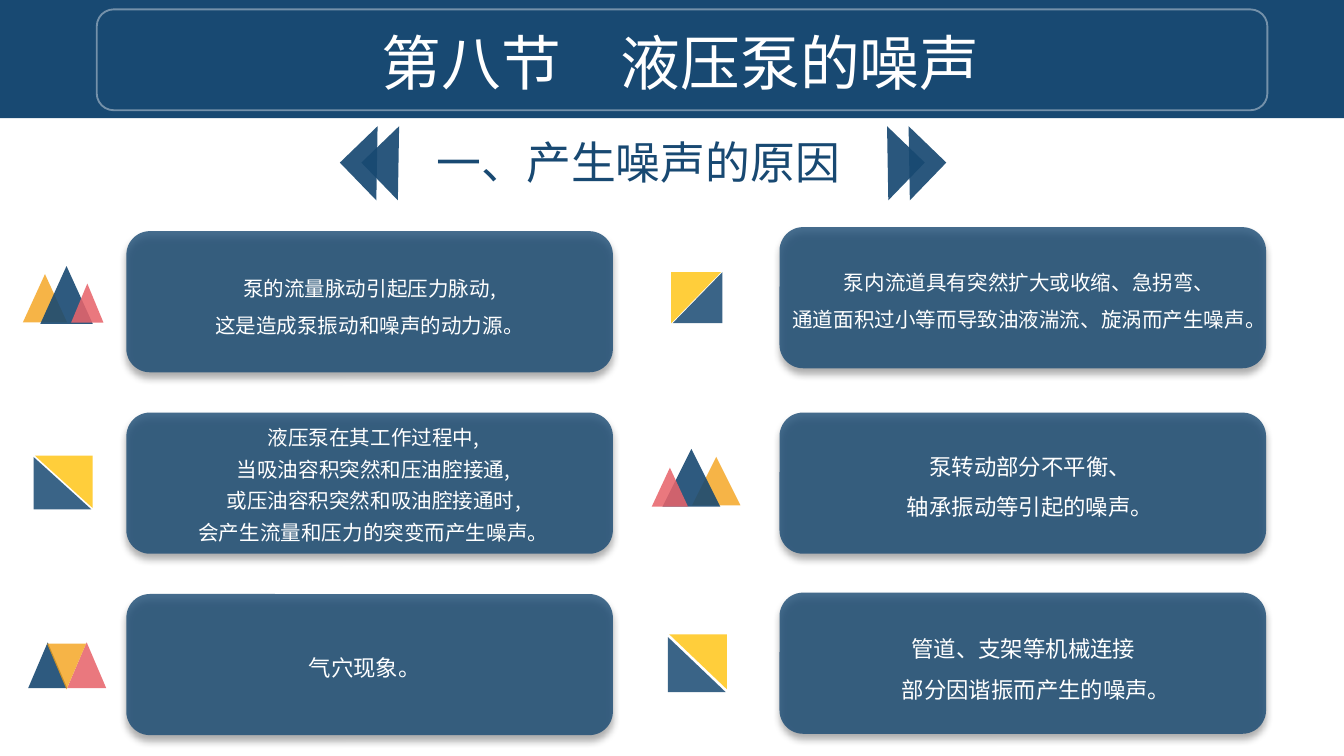
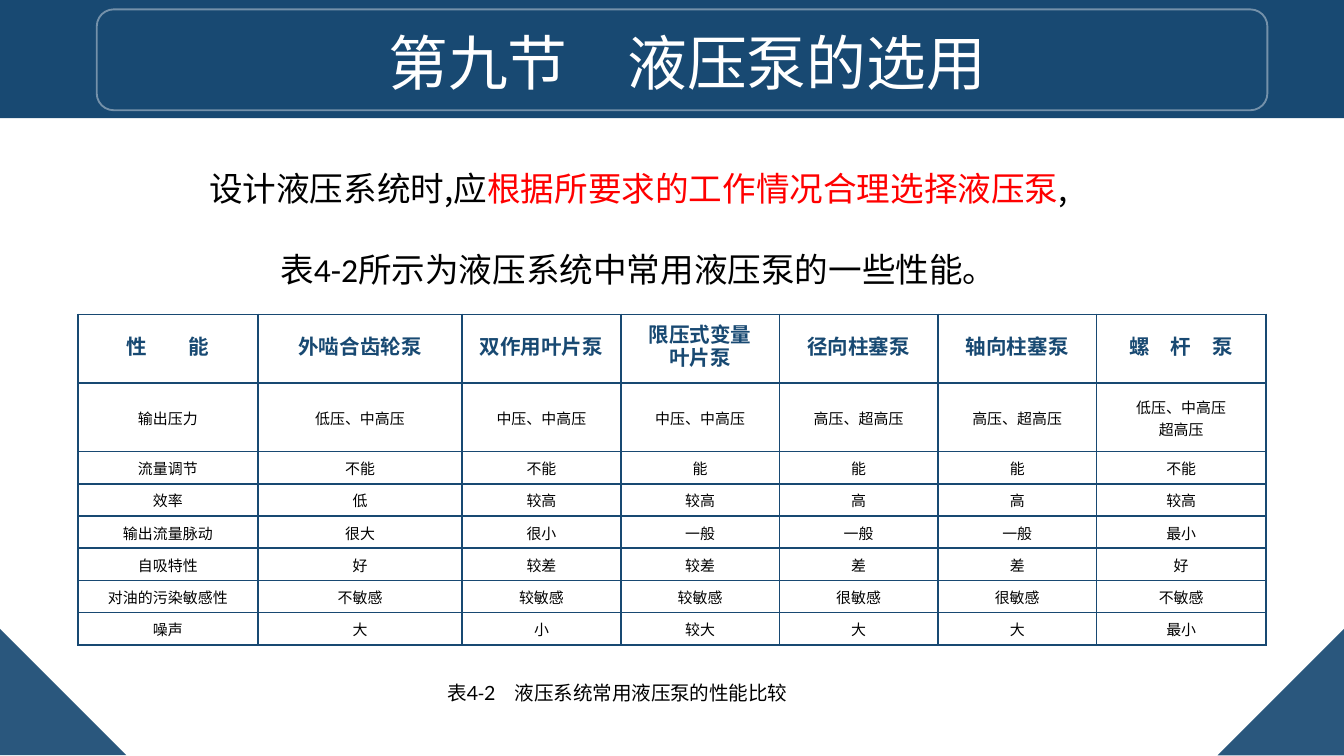
import lxml.etree
import pptx
import pptx.dml.color
import pptx.enum.shapes
import pptx.enum.text
import pptx.oxml.ns
import pptx.util

Inches = pptx.util.Inches
Pt = pptx.util.Pt
MSO = pptx.enum.shapes.MSO_SHAPE
CENTER = pptx.enum.text.PP_ALIGN.CENTER
LEFT = pptx.enum.text.PP_ALIGN.LEFT
qn = pptx.oxml.ns.qn

NAVY, WHITE, BLACK, RED = "184972", "FFFFFF", "000000", "FF0000"
ORANGE, YELLOW, PINK = "F49F14", "FFC000", "E8646B"
CJK = "Noto Sans CJK SC"
COMMA = (",", {"name": CJK})


def rgb(color):
    return pptx.dml.color.RGBColor.from_string(color)


def sub(parent, tag, **attrs):
    """Append a drawing element such as a:alpha to parent."""
    el = lxml.etree.SubElement(parent, qn(tag))
    for key, value in attrs.items():
        el.set(key, str(value))
    return el


def set_alpha(el, percent):
    sub(el.find(".//" + qn("a:srgbClr")), "a:alpha", val=percent * 1000)


def box(at):
    return [Inches(v) for v in at]


class Deck:
    def __init__(self):
        self.prs = pptx.Presentation()
        self.prs.slide_width = Inches(10)
        self.prs.slide_height = Inches(10) * 9 // 16
        self.s = None

    def new_slide(self, title, left):
        self.s = self.prs.slides.add_slide(self.prs.slide_layouts[6])
        self.shape(MSO.RECTANGLE, (0, 0, 10, 0.88), NAVY)
        self.frame((0.72, 0.07, 8.71, 0.75))
        self.text((left, 0.14, 8.35, 0.64), [[title]], size=32,
                  name="Times New Roman")

    def shape(self, kind, at, color=None, alpha=100, rot=0, flip="",
              adj=None, parent=None):
        sp = (parent or self.s).shapes.add_shape(kind, *box(at))
        sp.shadow.inherit = False
        sp.line.fill.background()
        sp.rotation = rot
        if color:
            sp.fill.solid()
            sp.fill.fore_color.rgb = rgb(color)
            if alpha < 100:
                set_alpha(sp._element.spPr, alpha)
        else:
            sp.fill.background()
        for axis in flip:
            sp._element.spPr.xfrm.set("flip" + axis, "1")
        if adj is not None:
            sp.adjustments[0] = adj
        return sp

    def frame(self, at):
        sp = self.shape(MSO.ROUNDED_RECTANGLE, at)
        sp.line.color.rgb = rgb(WHITE)
        sp.line.width = Pt(1)
        set_alpha(sp._element.spPr.find(qn("a:ln")), 40)

    def card(self, left, top):
        sp = self.shape(MSO.ROUNDED_RECTANGLE, (left, top, 3.62, 1.05), NAVY, 80)
        effects = sp._element.spPr.find(qn("a:effectLst"))
        shadow = sub(effects, "a:outerShdw", blurRad=Pt(4), dist=Pt(3),
                     dir=90 * 60000, algn="t", rotWithShape=0)
        sub(shadow, "a:srgbClr", val=BLACK)
        set_alpha(shadow, 40)

    def icon(self, triangles):
        group = self.s.shapes.add_group_shape()
        for at, color, alpha, extra in triangles:
            self.shape(MSO.ISOSCELES_TRIANGLE, at, color, alpha,
                       parent=group, **extra)

    def fill_text(self, tf, paras, color, align, spacing, font, indent=0):
        """Write paragraphs of runs; a run is a string or (string, changes)."""
        for i, runs in enumerate(paras):
            p = tf.paragraphs[0] if i == 0 else tf.add_paragraph()
            for key, value in {"alignment": align, "line_spacing": spacing}.items():
                setattr(p, key, value)
            if indent:
                p._p.get_or_add_pPr().set("indent", str(Inches(indent)))
            for item in runs:
                string, changes = (item, {}) if isinstance(item, str) else item
                r = p.add_run()
                r.text = string
                fmt = {"color": color, **font, **changes}
                r.font.color.rgb = rgb(fmt.pop("color"))
                for key, value in fmt.items():
                    setattr(r.font, key, Pt(value) if key == "size" else value)
                sub(r._r.get_or_add_rPr(), "a:ea", typeface=CJK)

    def text(self, at, paras, color=WHITE, align=CENTER, spacing=None,
             indent=0, wrap=True, **font):
        tf = self.s.shapes.add_textbox(*box(at)).text_frame
        tf.word_wrap = wrap
        tf.auto_size = pptx.enum.text.MSO_AUTO_SIZE.SHAPE_TO_FIT_TEXT
        self.fill_text(tf, paras, color, align, spacing,
                       {"name": "Calibri", **font}, indent)
        return tf

    def table(self, at, widths, heights, rows):
        tbl = self.s.shapes.add_table(len(rows), len(widths), *box(at)).table
        tbl.first_row = tbl.horz_banding = False
        for col, width in zip(tbl.columns, widths):
            col.width = Inches(width)
        for i, (row, height, values) in enumerate(zip(tbl.rows, heights, rows)):
            row.height = Inches(height)
            for j, value in enumerate(values):
                self.cell(tbl.cell(i, j), value, header=i == 0,
                          side=0.11 if i and j == 0 else 0)

    def cell(self, cell, value, header, side):
        fmt = {"margin_left": Inches(side), "margin_right": Inches(side),
               "margin_top": 0, "margin_bottom": 0,
               "vertical_anchor": pptx.enum.text.MSO_ANCHOR.MIDDLE}
        for key, setting in fmt.items():
            setattr(cell, key, setting)
        for edge in "LRTB":
            ln = sub(cell._tc.get_or_add_tcPr(), "a:ln" + edge, w=Pt(1))
            sub(sub(ln, "a:solidFill"), "a:srgbClr", val=NAVY)
        cell.fill.background()
        self.fill_text(cell.text_frame, [[line] for line in value.split("\n")],
                       NAVY if header else BLACK, CENTER, Pt(12),
                       {"name": "Times New Roman", "size": 11 if header else 8,
                        "bold": header})


def noise_slide(deck):
    deck.new_slide("第八节　液压泵的噪声", 0.89)
    deck.text((1.63, 0.95, 6.24, 0.5), [["一、产生噪声的原因"]], NAVY,
              size=24, name="Times New Roman")
    for start, rot, flip in ((2.61, 316, "V"), (6.41, 44, "HV")):
        for left in (start, start + 0.16):
            deck.shape(MSO.RIGHT_TRIANGLE, (left, 1.02, 0.39, 0.39), NAVY, 92,
                       rot, flip)

    for left, tops in ((0.94, (1.72, 3.07, 4.42)), (5.8, (1.69, 3.07, 4.41))):
        for top in tops:
            deck.card(left, top)

    half, turned = {"adj": 0}, {"adj": 0, "flip": "HV"}
    mirror = {"flip": "H"}
    deck.icon([((5, 2.03, 0.38, 0.37), NAVY, 85, {"rot": 270, **half}),
               ((4.99, 2.03, 0.38, 0.37), YELLOW, 77, {"rot": 270, **turned})])
    deck.icon([((0.25, 3.4, 0.43, 0.39), NAVY, 85, half),
               ((0.26, 3.39, 0.43, 0.39), YELLOW, 77, turned)])
    deck.icon([((0.17, 2.04, 0.33, 0.36), ORANGE, 78, {}),
               ((0.3, 1.98, 0.39, 0.43), NAVY, 90, {}),
               ((0.53, 2.11, 0.24, 0.29), PINK, 87, {})])
    deck.icon([((0.21, 4.78, 0.29, 0.34), NAVY, 90, {}),
               ((0.5, 4.78, 0.29, 0.34), PINK, 87, {}),
               ((0.35, 4.79, 0.29, 0.34), ORANGE, 78, {"flip": "V"})])
    deck.icon([((5.15, 3.4, 0.36, 0.36), ORANGE, 78, mirror),
               ((4.93, 3.34, 0.43, 0.43), NAVY, 90, mirror),
               ((4.85, 3.48, 0.27, 0.29), PINK, 87, mirror)])
    deck.icon([((4.97, 4.74, 0.43, 0.41), NAVY, 85, half),
               ((4.98, 4.72, 0.43, 0.41), YELLOW, 77, turned)])

    deck.text((1.2, 1.91, 2.81, 0.63),
              [["泵的流量脉动引起压力脉动", COMMA],
               ["这是造成泵振动和噪声的动力源。"]],
              size=11, spacing=1.5, indent=0.29, wrap=False)
    deck.text((0.28, 3.06, 5, 1.05),
              [["液压泵在其工作过程中", COMMA],
               ["当吸油容积突然和压油腔接通", COMMA],
               ["或压油容积突然和吸油腔接通时", COMMA],
               ["会产生流量和压力的突变而产生噪声。"]],
              size=11, spacing=Pt(17))
    deck.text((2.2, 4.82, 1.04, 0.3), [["气穴现象。"]], align=LEFT, size=12,
              wrap=False)
    deck.text((5.46, 1.87, 4.4, 0.63),
              [["泵内流道具有突然扩大或收缩、急拐弯、"],
               ["通道面积过小等而导致油液湍流、旋涡而产生噪声。"]],
              size=11, spacing=1.5)
    deck.text((6.64, 3.22, 2.05, 0.71),
              [["泵转动部分不平衡、"], ["轴承振动等引起的噪声。"]],
              size=12, spacing=1.5, wrap=False)
    tf = deck.text((6.41, 4.58, 2.41, 0.71),
                   [["管道、支架等机械连接"], ["部分因谐振而产生的噪声。"]],
                   size=12, spacing=1.5, wrap=False)
    tf.paragraphs[1]._p.get_or_add_pPr().set("marL", str(Inches(0.19)))


def selection_slide(deck):
    deck.new_slide("第九节　液压泵的选用", 0.94)
    for left, rot in ((0, 270), (9.06, 180)):
        deck.shape(MSO.RIGHT_TRIANGLE, (left, 4.68, 0.94, 0.94), NAVY, 92, rot, "V")
    deck.text((1.03, 0.9, 7.15, 1.31),
              [["设计液压系统时", COMMA, "应",
                ("根据所要求的工作情况合理选择液压泵", {"color": RED}), COMMA],
               ["表4-2所示为液压系统中常用液压泵的一些性能。"]],
              BLACK, size=18, spacing=2.0, indent=0.29)
    deck.table(
        (0.58, 2.34, 8.84, 2.47),
        [1.34, 1.52] + [1.18] * 4 + [1.26], [0.51] * 2 + [0.24] * 6,
        [["性　　能", "外啮合齿轮泵", "双作用叶片泵", "限压式变量\n叶片泵",
          "径向柱塞泵", "轴向柱塞泵", "螺　杆　泵"],
         ["输出压力", "低压、中高压", "中压、中高压", "中压、中高压",
          "高压、超高压", "高压、超高压", "低压、中高压\n超高压"],
         ["流量调节", "不能", "不能", "能", "能", "能", "不能"],
         ["效率", "低", "较高", "较高", "高", "高", "较高"],
         ["输出流量脉动", "很大", "很小", "一般", "一般", "一般", "最小"],
         ["自吸特性", "好", "较差", "较差", "差", "差", "好"],
         ["对油的污染敏感性", "不敏感", "较敏感", "较敏感", "很敏感",
          "很敏感", "不敏感"],
         ["噪声", "大", "小", "较大", "大", "大", "最小"]])
    lato = {"name": "Lato"}
    deck.text((3.23, 5.02, 2.75, 0.28),
              [["表", ("4", lato), "-", ("2　", lato),
                "液压系统常用液压泵的性能比较"]],
              BLACK, LEFT, size=10.5)


def main():
    deck = Deck()
    noise_slide(deck)
    selection_slide(deck)
    deck.prs.save("out.pptx")


if __name__ == "__main__":
    main()
